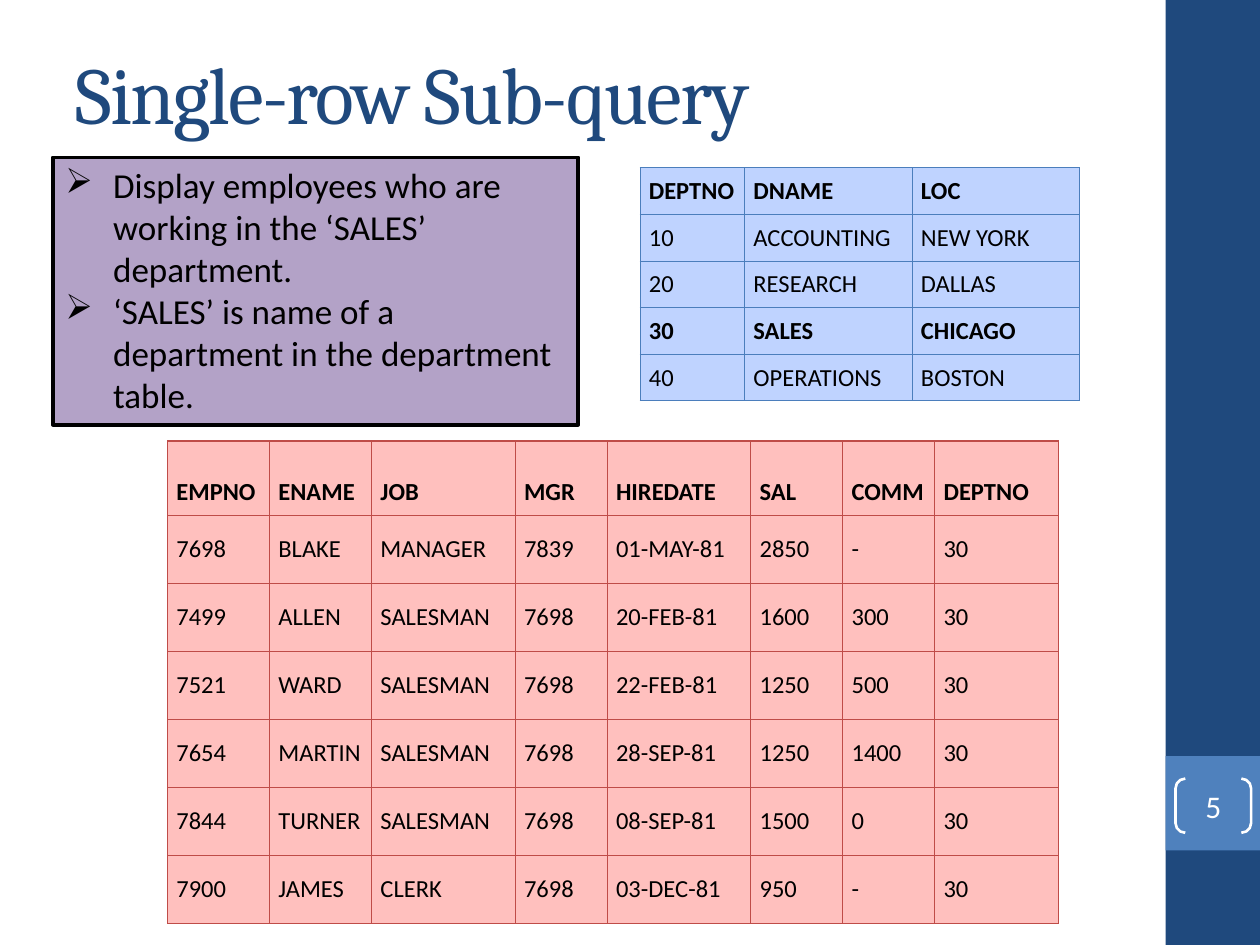
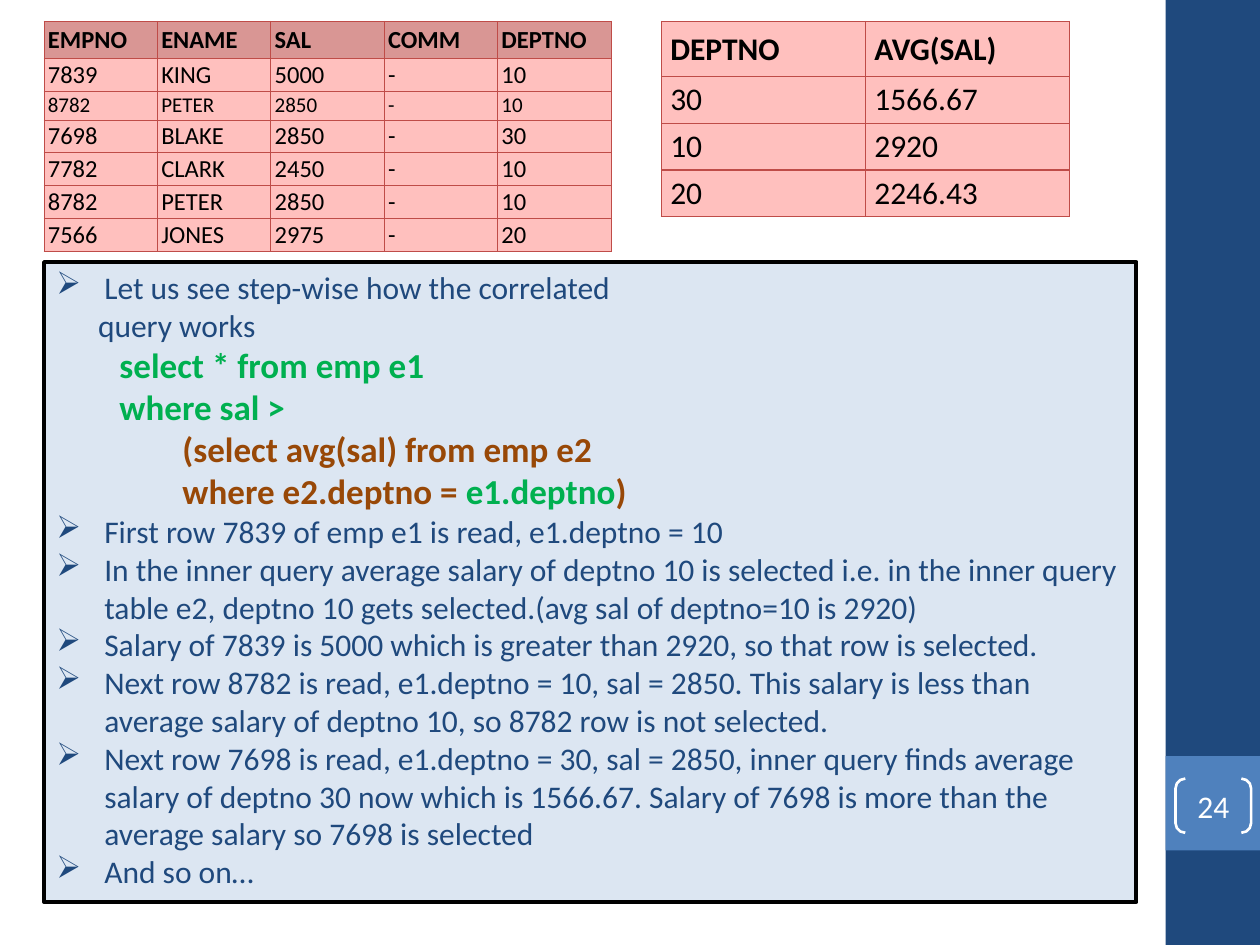
from lxml import etree
from pptx import Presentation
from pptx import util as u
from pptx.dml import color
from pptx.enum import shapes, text
from pptx.oxml import ns

NAVY, BLUE, WHITE, BLACK = "1F497D", "4F81BD", "FFFFFF", "000000"
GREEN, BROWN = "00B050", "984807"
LILAC, PALE_BLUE = "B3A2C7", "DCE6F2"
BLUE_TABLE = {"fill": "BFD3FF", "border": "4B7EBC"}
RED_TABLE = {"fill": "FFC0BE", "border": "BF4C48"}
RED_HEADER = "D99694"
BODY, HEADING = "Calibri", "Cambria"
ARROW = "➢"

DEPARTMENTS = [
    ("DEPTNO", "DNAME", "LOC"),
    ("10", "ACCOUNTING", "NEW YORK"),
    ("20", "RESEARCH", "DALLAS"),
    ("30", "SALES", "CHICAGO"),
    ("40", "OPERATIONS", "BOSTON"),
]
SALES_STAFF = [
    ("EMPNO", "ENAME", "JOB", "MGR", "HIREDATE", "SAL", "COMM", "DEPTNO"),
    ("7698", "BLAKE", "MANAGER", "7839", "01-MAY-81", "2850", "-", "30"),
    ("7499", "ALLEN", "SALESMAN", "7698", "20-FEB-81", "1600", "300", "30"),
    ("7521", "WARD", "SALESMAN", "7698", "22-FEB-81", "1250", "500", "30"),
    ("7654", "MARTIN", "SALESMAN", "7698", "28-SEP-81", "1250", "1400", "30"),
    ("7844", "TURNER", "SALESMAN", "7698", "08-SEP-81", "1500", "0", "30"),
    ("7900", "JAMES", "CLERK", "7698", "03-DEC-81", "950", "-", "30"),
]
SALARIES = [
    ("EMPNO", "ENAME", "SAL", "COMM", "DEPTNO"),
    ("7839", "KING", "5000", "-", "10"),
    ("8782", "PETER", "2850", "-", "10"),
    ("7698", "BLAKE", "2850", "-", "30"),
    ("7782", "CLARK", "2450", "-", "10"),
    ("8782", "PETER", "2850", "-", "10"),
    ("7566", "JONES", "2975", "-", "20"),
]
AVERAGES = [
    ("DEPTNO", "AVG(SAL)"),
    ("30", "1566.67"),
    ("10", "2920"),
    ("20", "2246.43"),
]
STEPS = [
    "First row 7839 of emp e1 is read, e1.deptno = 10",
    "In the inner query average salary of deptno 10 is selected i.e. in the inner query "
    "table e2, deptno 10 gets selected.(avg sal of deptno=10 is 2920)",
    "Salary of 7839 is 5000 which is greater than 2920, so that row is selected.",
    "Next row 8782 is read, e1.deptno = 10, sal = 2850. This salary is less than "
    "average salary of deptno 10, so 8782 row is not selected.",
    "Next row 7698 is read, e1.deptno = 30, sal = 2850, inner query finds average "
    "salary of deptno 30 now which is 1566.67. Salary of 7698 is more than the "
    "average salary so 7698 is selected",
    "And so on…",
]


def rgb(value):
    return color.RGBColor.from_string(value)


def inches(values):
    return [u.Inches(v) for v in values]


def set_insets(frame, insets):
    (frame.margin_left, frame.margin_top,
     frame.margin_right, frame.margin_bottom) = inches(insets)


def add_run(p, words, size, ink, bold=False, font=BODY):
    r = p.add_run()
    r.text = words
    r.font.name, r.font.size, r.font.bold = font, u.Pt(size), bold
    r.font.color.rgb = rgb(ink)
    return r


def add_box(slide, at, fill=None, line=None, width=1, kind=shapes.MSO_SHAPE.RECTANGLE):
    sp = slide.shapes.add_shape(kind, *inches(at))
    sp.shadow.inherit = False
    if fill:
        sp.fill.solid()
        sp.fill.fore_color.rgb = rgb(fill)
    else:
        sp.fill.background()
    if line:
        sp.line.color.rgb = rgb(line)
        sp.line.width = u.Pt(width)
    else:
        sp.line.fill.background()
    return sp


def add_frame(slide, number):
    add_box(slide, (9.25, 0, 0.75, 7.5), NAVY)
    add_box(slide, (9.25, 6, 0.75, 0.75), BLUE)
    sp = add_box(slide, (9.33, 6.18, 0.6, 0.43), line=WHITE, width=1.5,
                 kind=shapes.MSO_SHAPE.DOUBLE_BRACKET)
    sp.adjustments[0] = 0.18
    tf = sp.text_frame
    set_insets(tf, (0, 0, 0, 0))
    tf.vertical_anchor = text.MSO_ANCHOR.MIDDLE
    p = tf.paragraphs[0]
    p.alignment = text.PP_ALIGN.CENTER
    add_run(p, str(number), 18, WHITE)


def add_title(slide, words):
    tf = slide.shapes.add_textbox(*inches((0.5, 0.3, 8.33, 0.87))).text_frame
    tf.word_wrap = True
    tf.vertical_anchor = text.MSO_ANCHOR.MIDDLE
    r = add_run(tf.paragraphs[0], words, 46, NAVY, font=HEADING)
    r.font._element.set("spc", "-100")


def bullet(words, size, ink):
    return {"runs": [(words, size, ink)], "left": 0.38, "bullet": True}


def code(level, left, *parts):
    runs = [(words, 20, ink, True) for words, ink in parts]
    return {"runs": runs, "level": level, "left": left}


def add_panel(slide, at, fill, items):
    tf = add_box(slide, at, fill, BLACK, 2.25).text_frame
    tf.word_wrap = True
    tf.vertical_anchor = text.MSO_ANCHOR.TOP
    for i, item in enumerate(items):
        p = tf.add_paragraph() if i else tf.paragraphs[0]
        p.alignment = text.PP_ALIGN.LEFT
        p.level = item.get("level", 0)
        pPr = p._p.get_or_add_pPr()
        left = u.Inches(item["left"])
        pPr.set("marL", str(left))
        pPr.set("indent", str(-left if item.get("bullet") else 0))
        if item.get("bullet"):
            etree.SubElement(pPr, ns.qn("a:buChar"), char=ARROW)
        for run in item["runs"]:
            add_run(p, *run)


def add_borders(cell, ink):
    tcPr = cell._tc.get_or_add_tcPr()
    for i, side in enumerate(("lnL", "lnR", "lnT", "lnB")):
        ln = etree.Element(ns.qn(f"a:{side}"), w=str(u.Pt(0.75)))
        fill = etree.SubElement(ln, ns.qn("a:solidFill"))
        etree.SubElement(fill, ns.qn("a:srgbClr"), val=ink)
        tcPr.insert(i, ln)


def add_grid(slide, left, top, rows, widths, heights, style, size=14,
             header_fill=None, bold_rows=(0,), row_sizes=None, pad=0.07, pad_y=0.03):
    at = inches((left, top, sum(widths), sum(heights)))
    table = slide.shapes.add_table(len(rows), len(widths), *at).table
    table.first_row = table.horz_banding = False
    for column, width in zip(table.columns, widths):
        column.width = u.Inches(width)
    for i, (row, height) in enumerate(zip(rows, heights)):
        table.rows[i].height = u.Inches(height)
        header = i == 0
        for j, words in enumerate(row):
            cell = table.cell(i, j)
            cell.fill.solid()
            cell.fill.fore_color.rgb = rgb(header and header_fill or style["fill"])
            add_borders(cell, style["border"])
            y = pad if header else pad_y
            set_insets(cell, (pad, y, pad, y))
            cell.vertical_anchor = text.MSO_ANCHOR.BOTTOM if header else text.MSO_ANCHOR.MIDDLE
            add_run(cell.text_frame.paragraphs[0], words,
                    (row_sizes or {}).get(i, size), BLACK, i in bold_rows)


def build_single_row(slide):
    add_frame(slide, 5)
    add_title(slide, "Single-row Sub-query")
    add_panel(slide, (0.42, 1.25, 4.17, 2.12), LILAC, [
        bullet("Display employees who are working in the ‘SALES’ department.", 20, BLACK),
        bullet("‘SALES’ is name of a department in the department table.", 20, BLACK),
    ])
    add_grid(slide, 5.08, 1.33, DEPARTMENTS, [0.83, 1.33, 1.33], [0.37] * 5,
             BLUE_TABLE, bold_rows=(0, 3))
    add_grid(slide, 1.33, 3.5, SALES_STAFF,
             [0.81, 0.81, 1.14, 0.73, 1.14, 0.73, 0.73, 0.98],
             [0.59] + [0.54] * 6, RED_TABLE)


def build_correlated(slide):
    add_frame(slide, 24)
    add_panel(slide, (0.35, 2.08, 8.67, 5.08), PALE_BLUE, [
        bullet("Let us see step-wise how the correlated", 18, NAVY),
        {"runs": [("query works", 18, NAVY)], "left": 0.33},
        code(1, 0.5, ("select * from emp e1", GREEN)),
        code(1, 0.5, ("where sal >", GREEN)),
        code(2, 1, ("(select avg(sal) from emp e2", BROWN)),
        code(2, 1, ("where e2.deptno = ", BROWN), ("e1.deptno", GREEN), (")", BROWN)),
        *(bullet(step, 18, NAVY) for step in STEPS),
    ])
    add_grid(slide, 5.25, 0.17, AVERAGES, [1.62] * 2, [0.43] + [0.37] * 3,
             RED_TABLE, size=18)
    add_grid(slide, 0.35, 0.17, SALARIES, [0.9] * 5,
             [0.29, 0.26, 0.23] + [0.26] * 4, RED_TABLE, header_fill=RED_HEADER,
             row_sizes={2: 12}, pad=0.03, pad_y=0.01)


def main():
    prs = Presentation()
    prs.slide_width, prs.slide_height = inches((10, 7.5))
    for build in (build_single_row, build_correlated):
        build(prs.slides.add_slide(prs.slide_layouts[6]))
    prs.save("out.pptx")


if __name__ == "__main__":
    main()
